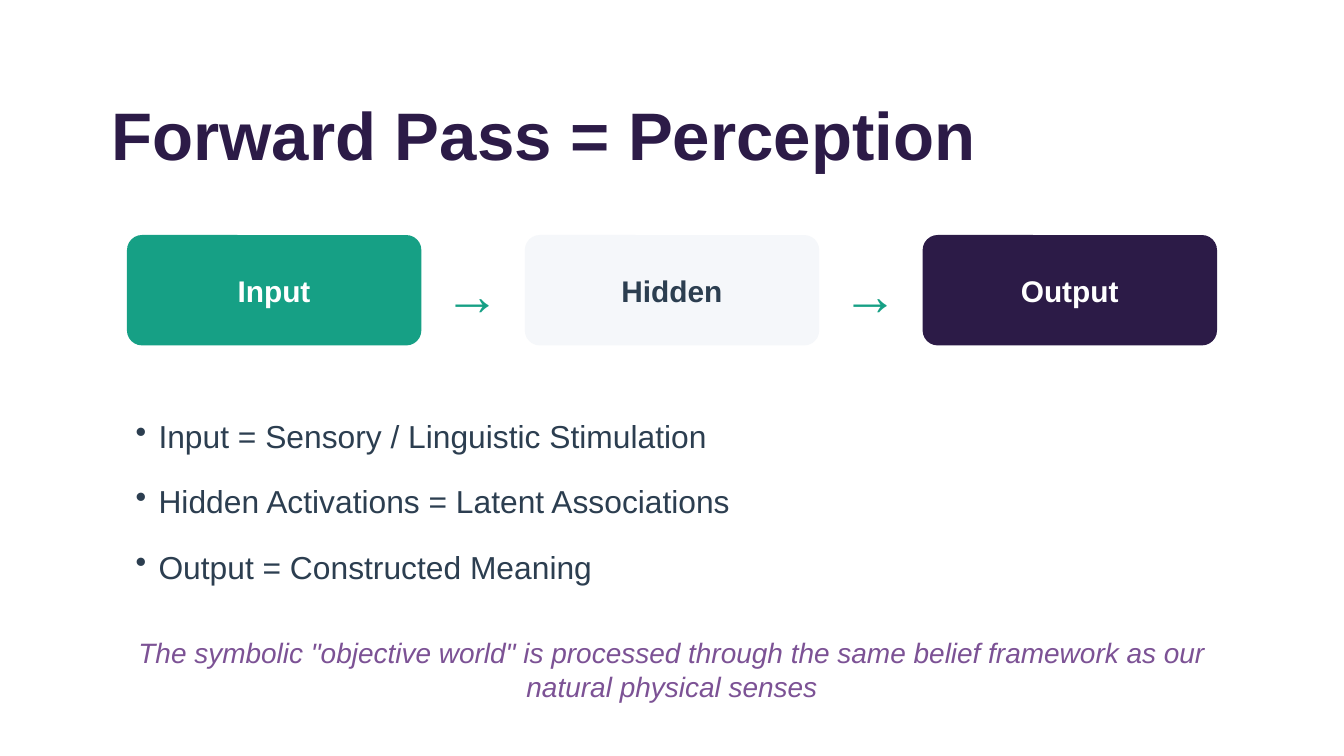
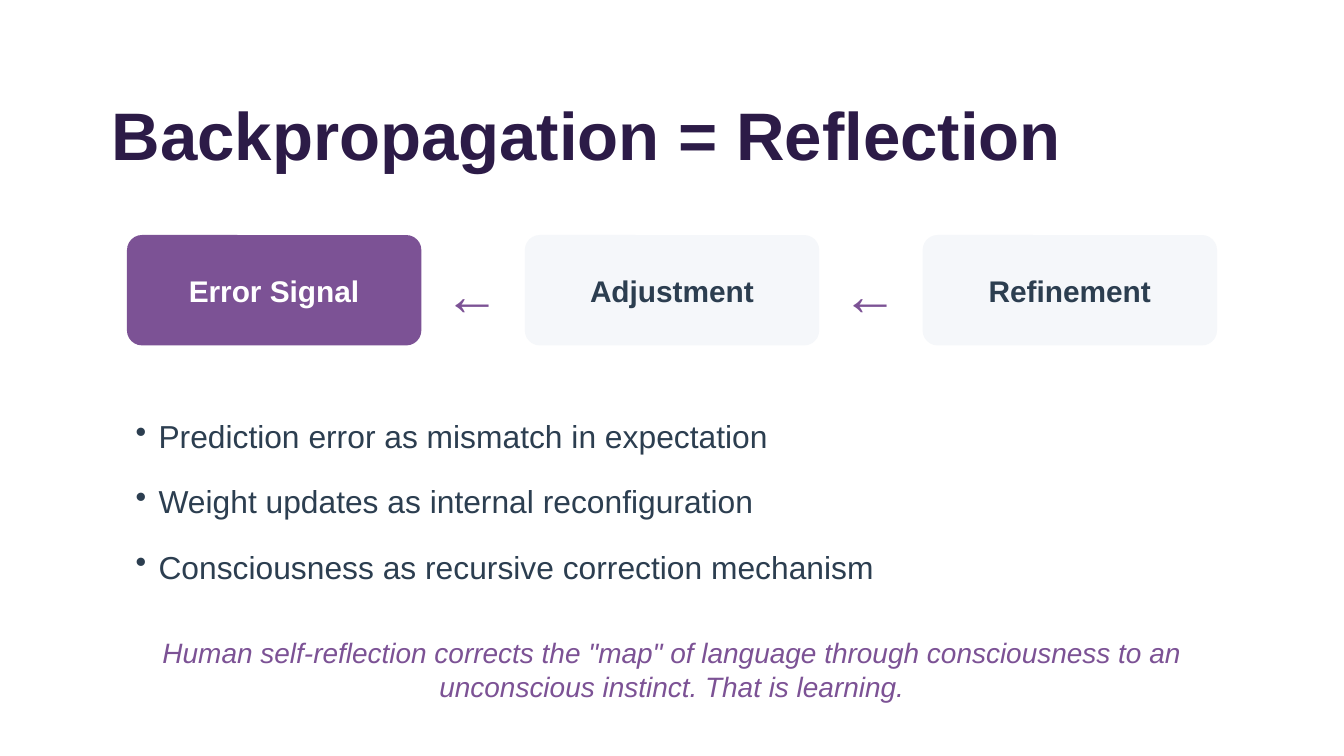
from dataclasses import dataclass

from lxml import etree
from pptx import Presentation
from pptx.dml.color import RGBColor
from pptx.enum.shapes import MSO_SHAPE
from pptx.enum.text import MSO_AUTO_SIZE, PP_ALIGN
from pptx.oxml.ns import qn
from pptx.util import Inches, Pt

ROUNDED = MSO_SHAPE.ROUNDED_RECTANGLE
LEFT, CENTER = PP_ALIGN.LEFT, PP_ALIGN.CENTER
GROW = MSO_AUTO_SIZE.SHAPE_TO_FIT_TEXT


@dataclass(frozen=True)
class Theme:
    font: str = "Arial"
    white: str = "FFFFFF"
    plum: str = "2C1B47"
    teal: str = "16A085"
    violet: str = "7C5295"
    mist: str = "F5F7FA"
    slate: str = "2C3E50"
    title_size: int = 36
    arrow_size: int = 30
    bullet_size: int = 17
    label_size: int = 16
    remark_size: int = 15


THEME = Theme()

# Places are percentages of the slide: left, top, width, height
TITLE_AREA = (8.3, 12.3, 85, 10.1)
BULLET_AREA = (10.1, 54.5, 81.6, 22.8)
REMARK_AREA = (7.5, 84.1, 85, 8.3)
CARD_LEFT, CARD_TOP, CARD_WIDTH, CARD_HEIGHT = 9.45, 31.1, 21.9, 14.6
CARD_PITCH = 29.6
LABEL_INSET, LABEL_TOP, LABEL_HEIGHT = 2.65, 36.1, 4.3
ARROW_GAP, ARROW_TOP, ARROW_WIDTH, ARROW_HEIGHT = 1.75, 34.3, 4.3, 8.2


class SlideBuilder:
    def __init__(self, theme):
        self.theme = theme
        self.deck = Presentation()
        self.deck.slide_width = Inches(10)
        self.deck.slide_height = Inches(5.625)
        self.page = None

    def new_page(self):
        self.page = self.deck.slides.add_slide(self.deck.slide_layouts[6])
        self.page.background.fill.solid()
        self.page.background.fill.fore_color.rgb = RGBColor.from_string(self.theme.white)

    def place(self, area):
        sides = (self.deck.slide_width, self.deck.slide_height) * 2
        return [round(side * share / 100) for side, share in zip(sides, area)]

    def text(self, area, words, size, color, align=LEFT, bold=False, italic=False, before=0):
        box = self.page.shapes.add_textbox(*self.place(area))
        frame = box.text_frame
        frame.margin_left = frame.margin_right = 0
        frame.margin_top = frame.margin_bottom = 0
        frame.word_wrap = True
        frame.auto_size = GROW
        frame.text = words
        for para in frame.paragraphs:
            para.alignment = align
            para.space_before = Pt(before)
            for span in para.runs:
                span.font.name = self.theme.font
                span.font.size = Pt(size)
                span.font.bold = bold
                span.font.italic = italic
                span.font.color.rgb = RGBColor.from_string(color)
        return frame

    def title(self, words):
        self.text(TITLE_AREA, words, self.theme.title_size, self.theme.plum,
                  bold=True, before=35)

    def card(self, left, label, fill):
        area = (left, CARD_TOP, CARD_WIDTH, CARD_HEIGHT)
        shape = self.page.shapes.add_shape(ROUNDED, *self.place(area))
        shape.adjustments[0] = 0.136
        shape.shadow.inherit = False
        shape.fill.solid()
        shape.fill.fore_color.rgb = RGBColor.from_string(fill)
        shape.line.fill.background()
        label_area = (left + LABEL_INSET, LABEL_TOP,
                      CARD_WIDTH - 2 * LABEL_INSET, LABEL_HEIGHT)
        color = self.theme.slate if fill == self.theme.mist else self.theme.white
        self.text(label_area, label, self.theme.label_size, color, CENTER, bold=True)

    def flow(self, cards, arrow, arrow_color):
        for index, (label, fill) in enumerate(cards):
            left = CARD_LEFT + index * CARD_PITCH
            if index:
                arrow_left = left - CARD_PITCH + CARD_WIDTH + ARROW_GAP
                self.text((arrow_left, ARROW_TOP, ARROW_WIDTH, ARROW_HEIGHT),
                          arrow, self.theme.arrow_size, arrow_color)
            self.card(left, label, fill)

    def bullets(self, items):
        frame = self.text(BULLET_AREA, "\n".join(items), self.theme.bullet_size,
                          self.theme.slate, before=12)
        indent = Inches(0.17)
        for para in frame.paragraphs:
            para.line_spacing = Pt(23)
            properties = para._p.get_or_add_pPr()
            properties.set("marL", str(indent))
            properties.set("indent", str(-indent))
            etree.SubElement(properties, qn("a:buChar")).set("char", "•")

    def remark(self, words):
        self.text(REMARK_AREA, words, self.theme.remark_size, self.theme.violet,
                  CENTER, italic=True, before=25)


def main():
    builder = SlideBuilder(THEME)

    # Forward pass
    builder.new_page()
    builder.title("Forward Pass = Perception")
    builder.flow([("Input", THEME.teal), ("Hidden", THEME.mist), ("Output", THEME.plum)],
                 "→", THEME.teal)
    builder.bullets(["Input = Sensory / Linguistic Stimulation",
                     "Hidden Activations = Latent Associations",
                     "Output = Constructed Meaning"])
    builder.remark('The symbolic "objective world" is processed through the same '
                   "belief framework as our natural physical senses")

    # Backpropagation
    builder.new_page()
    builder.title("Backpropagation = Reflection")
    builder.flow([("Error Signal", THEME.violet), ("Adjustment", THEME.mist),
                  ("Refinement", THEME.mist)], "←", THEME.violet)
    builder.bullets(["Prediction error as mismatch in expectation",
                     "Weight updates as internal reconfiguration",
                     "Consciousness as recursive correction mechanism"])
    builder.remark('Human self-reflection corrects the "map" of language through '
                   "consciousness to an unconscious instinct. That is learning.")

    builder.deck.save("out.pptx")


if __name__ == "__main__":
    main()
